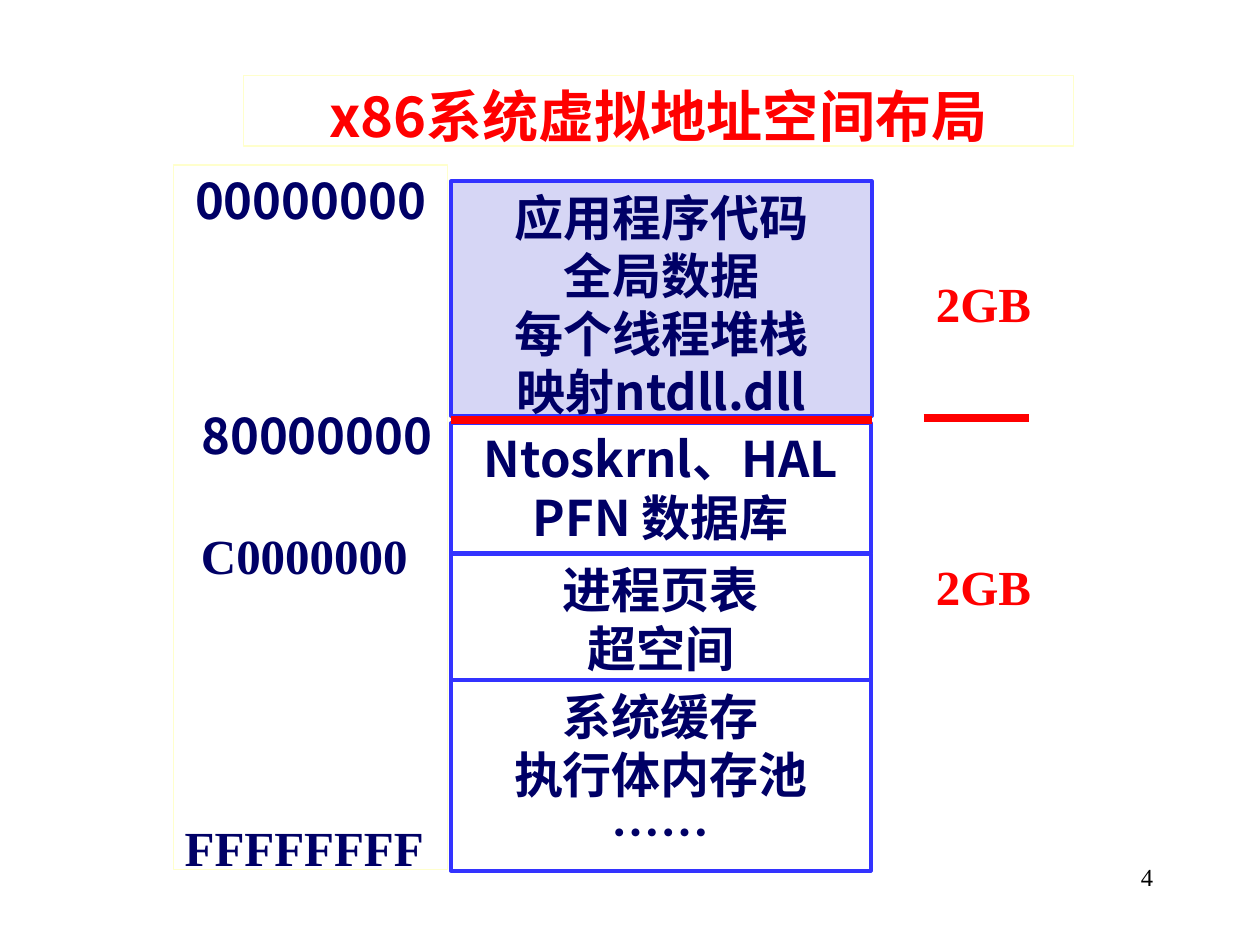
from dataclasses import dataclass

from lxml import etree
from pptx import Presentation
from pptx import util as u
from pptx.dml.color import RGBColor
from pptx.enum import shapes, text
from pptx.oxml import ns

SANS, SERIF = "Noto Sans CJK SC", "Times New Roman"
NAVY, BLUE, RED, PALE = "000066", "3333FF", "FF0000", "FFFFCC"
CENTER, RIGHT, LEFT = text.PP_ALIGN.CENTER, text.PP_ALIGN.RIGHT, text.PP_ALIGN.LEFT
PITCH = 1.19
EDGE = 3.58


@dataclass
class Line:
    words: str
    font: str = SANS
    size: int = 28
    color: str = NAVY
    bold: bool = True
    align: int = CENTER
    pitch: float = PITCH
    before: float = 0
    left: float = 0
    right: float = 0


@dataclass
class Box:
    x: float
    y: float
    w: float
    h: float
    lines: list[Line]
    fill: str = "FFFFFF"
    edge: str = BLUE
    width: float = 2.25


def rgb(code: str) -> RGBColor:
    return RGBColor.from_string(code)


def write(frame, lines: list[Line], top: float, side: float,
          wrap: bool = True) -> None:
    frame.word_wrap = wrap
    frame.vertical_anchor = text.MSO_ANCHOR.TOP
    frame.margin_top, frame.margin_bottom = u.Inches(top), 0
    frame.margin_left = frame.margin_right = u.Inches(side)
    for i, line in enumerate(lines):
        para = frame.add_paragraph() if i else frame.paragraphs[0]
        para.alignment = line.align
        if line.pitch:
            para.line_spacing = u.Pt(round(line.size * line.pitch, 1))
        if line.before:
            para.space_before = u.Pt(line.before)
        props = para._p.get_or_add_pPr()
        for key, gap in (("marL", line.left), ("marR", line.right)):
            if gap:
                props.set(key, str(u.Inches(gap)))
        run = para.add_run()
        run.text = line.words
        font = run.font
        font.size, font.bold, font.name = u.Pt(line.size), line.bold, line.font
        font.color.rgb = rgb(line.color)
        east = etree.SubElement(run._r.get_or_add_rPr(), ns.qn("a:ea"))
        east.set("typeface", SANS)


def block(slide, box: Box) -> None:
    shape = slide.shapes.add_shape(
        shapes.MSO_SHAPE.RECTANGLE,
        *(u.Inches(n) for n in (box.x, box.y, box.w, box.h)))
    shape.shadow.inherit = False
    shape.fill.solid()
    shape.fill.fore_color.rgb = rgb(box.fill)
    shape.line.color.rgb = rgb(box.edge)
    shape.line.width = u.Pt(box.width)
    write(shape.text_frame, box.lines, 0.05, 0.02)


def label(slide, x: float, y: float, w: float, h: float, line: Line,
          top: float, wrap: bool) -> None:
    area = slide.shapes.add_textbox(*(u.Inches(n) for n in (x, y, w, h)))
    write(area.text_frame, [line], top, 0.1, wrap)


def rule(slide, x: float, end: float, y: float) -> None:
    link = slide.shapes.add_connector(
        shapes.MSO_CONNECTOR.STRAIGHT,
        *(u.Inches(n) for n in (x, y, end, y)))
    link.line.color.rgb = rgb(RED)
    link.line.width = u.Pt(4.5)
    etree.SubElement(link._element.spPr, ns.qn("a:effectLst"))


def stack(y: float, h: float, *words: str, w: float = 3.33,
          fill: str = "FFFFFF", font: str = SANS) -> Box:
    return Box(EDGE, y, w, h, [Line(word, font) for word in words], fill)


def main() -> None:
    deck = Presentation()
    deck.slide_width, deck.slide_height = u.Inches(10), u.Inches(7.5)
    slide = deck.slides.add_slide(deck.slide_layouts[6])

    label(slide, 7.17, 6.83, 2.08, 0.5,
          Line("4", SERIF, 14, "000000", False, RIGHT, 0), 0.01, True)

    marks = [
        Line("00000000"),
        Line("80000000", before=101, left=0.1),
        Line("C0000000", SERIF, before=35, right=0.1),
        Line("FFFFFFFF", SERIF, before=134),
    ]
    boxes = [
        Box(1.93, 0.6, 6.59, 0.56,
            [Line("x86系统虚拟地址空间布局", size=32, color=RED)],
            edge=PALE, width=0.75),
        Box(1.38, 1.31, 2.17, 5.59, marks, edge=PALE, width=0.75),
        stack(1.44, 1.86, "应用程序代码", "全局数据", "每个线程堆栈",
              "映射ntdll.dll", w=3.34, fill="D6D6F5"),
        stack(4.4, 1.04, "进程页表", "超空间", font=SERIF),
        stack(3.36, 1.03, "Ntoskrnl、HAL", "PFN 数据库"),
        stack(5.4, 1.51, "系统缓存", "执行体内存池", "……"),
    ]
    for box in boxes:
        block(slide, box)

    rule(slide, EDGE, 6.92, 3.33)
    for y in (2.12, 4.37):
        label(slide, 7.33, y, 0.96, 0.57,
              Line("2GB", SERIF, color=RED, align=LEFT, pitch=0), 0.05, False)
    rule(slide, 7.33, 8.17, 3.32)
    deck.save("out.pptx")


if __name__ == "__main__":
    main()
